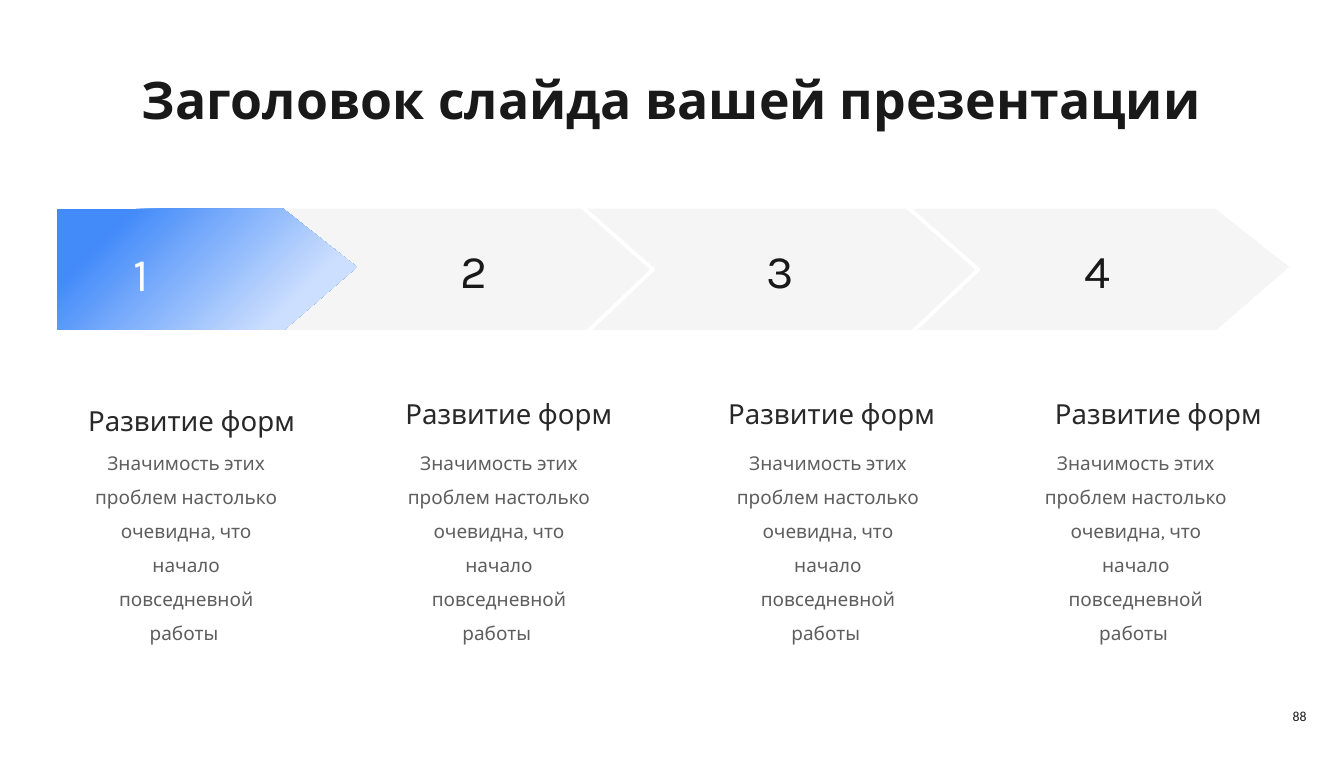
from pptx import Presentation
from pptx.dml.color import RGBColor
from pptx.enum.text import MSO_ANCHOR as ANCHOR, MSO_AUTO_SIZE as AUTO, PP_ALIGN as ALIGN
from pptx.util import Cm, Pt

PX = 9144
WHITE = RGBColor(0xFF, 0xFF, 0xFF)
BAND = RGBColor(0xF5, 0xF5, 0xF6)
BLUE = RGBColor(0x43, 0x8B, 0xF9)
PALE_BLUE = RGBColor(0xCD, 0xDF, 0xFE)
INK = RGBColor(0x1A, 0x19, 0x19)
HEADING = RGBColor(0x28, 0x28, 0x28)
GREY = RGBColor(0x5E, 0x5E, 0x5E)
BODY = "Значимость этих проблем настолько очевидна, что начало повседневной работы\u00a0".replace("\u00a0", " ")

prs = Presentation()
prs.slide_width = Cm(55)
prs.slide_height = Cm(31)
s = prs.slides.add_slide(prs.slide_layouts[6])


def add_text(text, x, y, w, h, size, color, align=ALIGN.CENTER, anchor=ANCHOR.TOP,
             font="Karla", inset=0, spacing=None, bold=False):
    tf = s.shapes.add_textbox(x * PX, y * PX, w * PX, h * PX).text_frame
    tf.word_wrap = True
    tf.vertical_anchor = anchor
    tf.margin_left = tf.margin_right = inset * PX
    tf.margin_top = tf.margin_bottom = inset * PX // 2
    p = tf.paragraphs[0]
    p.text = text
    p.alignment = align
    p.line_spacing = spacing
    p.font.name, p.font.size, p.font.bold = font, Pt(size), bold
    p.font.color.rgb = color
    return tf


def add_outline(points, close):
    builder = s.shapes.build_freeform(*points[0], scale=PX)
    builder.add_line_segments(points[1:], close=close)
    sp = builder.convert_to_shape()
    sp.shadow.inherit = False
    return sp


arrows = []
for left, tip in [(403, 2077), (92, 575)]:
    sp = add_outline([(left, 336), (tip - 119, 336), (tip, 430),
                      (tip - 117, 531), (left, 531)], True)
    sp.line.fill.background()
    arrows.append(sp)

band, first_step = arrows
band.fill.solid()
band.fill.fore_color.rgb = BAND
first_step.fill.gradient()
first_step.fill.gradient_angle = 315
for stop, position, color in zip(first_step.fill.gradient_stops, (0.18, 0.79), (BLUE, PALE_BLUE)):
    stop.position = position
    stop.color.rgb = color

for tip in (1052, 1576):
    sp = add_outline([(tip - 118, 546), (tip, 434), (tip - 119, 329)], False)
    sp.fill.background()
    sp.line.color.rgb = WHITE
    sp.line.width = Pt(4.5)

steps = [
    (205, WHITE, ALIGN.LEFT, 1.1, 142, 640, 356, 142),
    (701, INK, ALIGN.CENTER, None, 642, 630, 356, 646),
    (1195, INK, ALIGN.CENTER, None, 1162, 630, 356, 1176),
    (1706, INK, ALIGN.CENTER, None, 1658, 630, 417, 1672),
]
for number, step in enumerate(steps, 1):
    number_x, color, align, spacing, heading_x, heading_y, heading_w, body_x = step
    add_text(str(number), number_x, 381, 124, 107, 54, color, align, ANCHOR.MIDDLE,
             inset=10, spacing=spacing)
    add_text("Развитие форм", heading_x, heading_y, heading_w, 73, 32, HEADING, align,
             spacing=1.18)
    add_text(BODY.rstrip() + " ", body_x, 720, 316, 305, 22, GREY, anchor=ANCHOR.MIDDLE,
             spacing=Pt(39.4))

title = add_text("Заголовок слайда вашей презентации", 145, 104, 1874, 111, 60, INK,
                 inset=10, bold=True)
title.auto_size = AUTO.SHAPE_TO_FIT_TEXT
add_text("88", 1998, 1129, 117, 47, 16, INK, ALIGN.RIGHT, ANCHOR.MIDDLE, "Calibri", 10)

prs.save("out.pptx")
